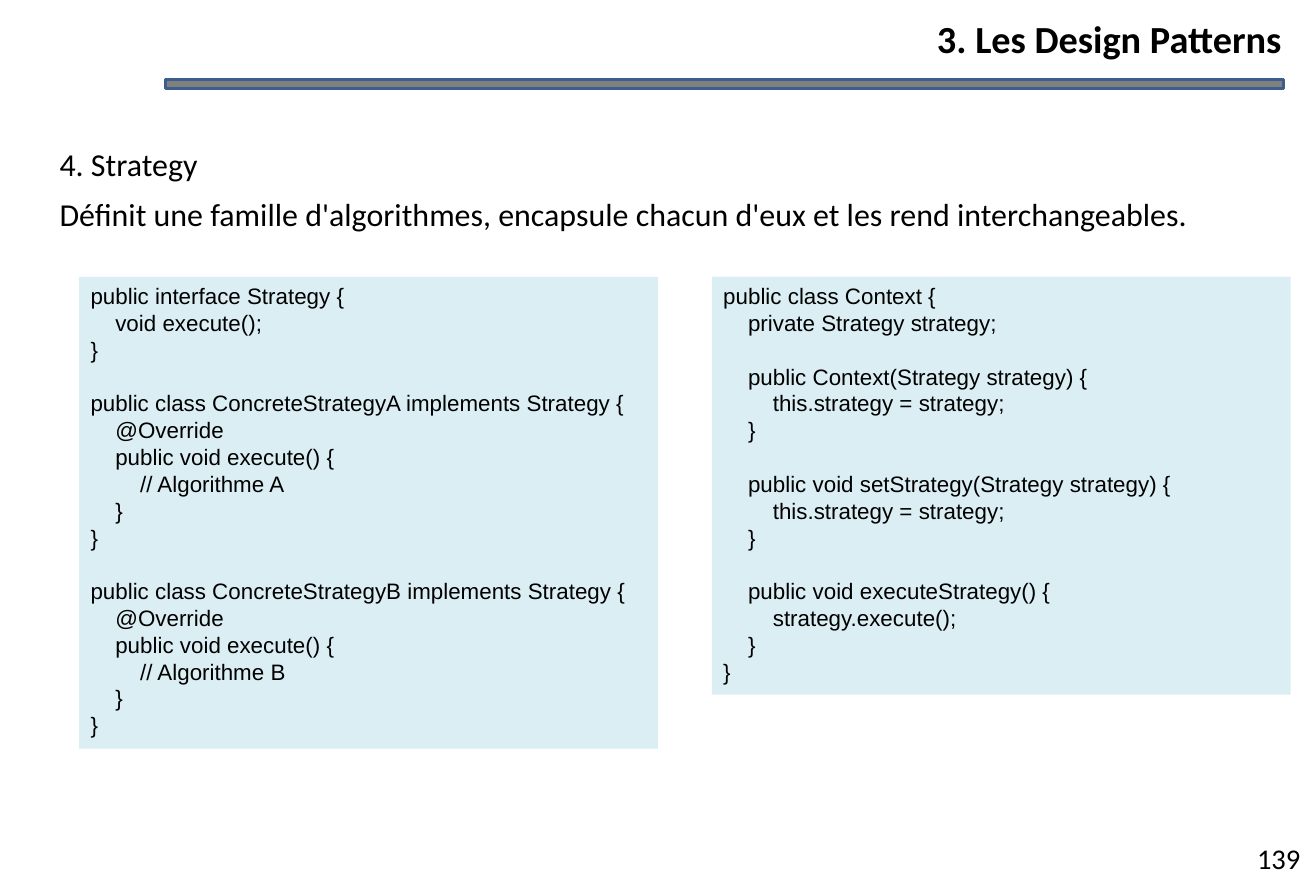
"""Build the Strategy pattern slide with its two code panels."""
from dataclasses import dataclass

from pptx import Presentation
from pptx.dml.color import RGBColor
from pptx.enum.shapes import MSO_SHAPE as Preset
from pptx.enum.text import MSO_ANCHOR as Anchor, MSO_AUTO_SIZE as AutoSize, PP_ALIGN as Align
from pptx.shapes.autoshape import Shape
from pptx.slide import Slide
from pptx.text.text import TextFrame
from pptx.util import Emu, Pt

EMU_PER_PX = 9144
CODE_LINE_PT = 16.8
COLORS = {
    "text": "000000",
    "rule_fill": "808080",
    "rule_edge": "3A5F8C",
    "panel": "DBEEF4",
}

STRATEGIES_CODE = """public interface Strategy {
    void execute();
}

public class ConcreteStrategyA implements Strategy {
    @Override
    public void execute() {
        // Algorithme A
    }
}

public class ConcreteStrategyB implements Strategy {
    @Override
    public void execute() {
        // Algorithme B
    }
}"""

CONTEXT_CODE = """public class Context {
    private Strategy strategy;

    public Context(Strategy strategy) {
        this.strategy = strategy;
    }

    public void setStrategy(Strategy strategy) {
        this.strategy = strategy;
    }

    public void executeStrategy() {
        strategy.execute();
    }
}"""


@dataclass(frozen=True)
class Area:
    left: int
    top: int
    width: int
    height: int

    def emu(self) -> tuple[Emu, Emu, Emu, Emu]:
        return px(self.left), px(self.top), px(self.width), px(self.height)


@dataclass(frozen=True)
class CodePanel:
    area: Area
    code: str


PANELS = (
    CodePanel(Area(69, 241, 504, 411), STRATEGIES_CODE),
    CodePanel(Area(620, 241, 504, 364), CONTEXT_CODE),
)


def px(length: int) -> Emu:
    return Emu(length * EMU_PER_PX)


def color(name: str) -> RGBColor:
    return RGBColor.from_string(COLORS[name])


def add_line(frame: TextFrame, text: str, *, size: float, font: str = "Calibri",
             bold: bool = False, align: Align = Align.LEFT, spacing: float = 1.0,
             before: float = 0, indent: int = 0) -> None:
    first = frame.paragraphs[0]
    para = frame.add_paragraph() if first.runs else first
    para.alignment = align
    para.line_spacing = spacing
    para.space_before = Pt(before)
    if indent:
        para._p.get_or_add_pPr().set("marL", str(px(indent)))
    span = para.add_run()
    span.text = text
    span.font.name = font
    span.font.size = Pt(size)
    span.font.bold = bold
    span.font.color.rgb = color("text")


def add_box(page: Slide, area: Area, *, grow: bool = True) -> TextFrame:
    frame = page.shapes.add_textbox(*area.emu()).text_frame
    frame.word_wrap = True
    frame.auto_size = AutoSize.SHAPE_TO_FIT_TEXT if grow else AutoSize.NONE
    return frame


def add_rectangle(page: Slide, area: Area, fill: str) -> Shape:
    box = page.shapes.add_shape(Preset.RECTANGLE, *area.emu())
    box.shadow.inherit = False
    box.fill.solid()
    box.fill.fore_color.rgb = color(fill)
    box.line.fill.background()
    return box


def draw_header(page: Slide) -> None:
    rule = add_rectangle(page, Area(144, 69, 974, 8), "rule_fill")
    rule.line.color.rgb = color("rule_edge")
    rule.line.width = Pt(2)
    title = add_box(page, Area(195, 13, 921, 40))
    title.margin_left = title.margin_right = title.margin_top = title.margin_bottom = 0
    add_line(title, "3. Les Design Patterns", size=24, bold=True, align=Align.RIGHT)


def draw_definition(page: Slide) -> None:
    frame = add_box(page, Area(22, 116, 1102, 91))
    add_line(frame, "4. Strategy", size=20, spacing=1.15, indent=20)
    add_line(frame, "Définit une famille d'algorithmes, encapsule chacun d'eux "
             "et les rend interchangeables.", size=20, spacing=1.15, before=4, indent=20)


def draw_panel(page: Slide, panel: CodePanel) -> None:
    frame = add_rectangle(page, panel.area, "panel").text_frame
    frame.word_wrap = True
    frame.auto_size = AutoSize.SHAPE_TO_FIT_TEXT
    frame.vertical_anchor = Anchor.TOP
    gap = 0.0
    for line in panel.code.splitlines():
        if not line:
            gap = CODE_LINE_PT
            continue
        add_line(frame, line, size=14, font="Arial", before=gap)
        gap = 0.0


def main() -> None:
    deck = Presentation()
    deck.slide_width, deck.slide_height = px(1146), px(768)
    page = deck.slides.add_slide(deck.slide_layouts[6])
    draw_header(page)
    number = add_box(page, Area(1081, 727, 65, 41), grow=False)
    add_line(number, "139", size=17.9, align=Align.CENTER)
    draw_definition(page)
    for panel in PANELS:
        draw_panel(page, panel)
    deck.save("out.pptx")


if __name__ == "__main__":
    main()
